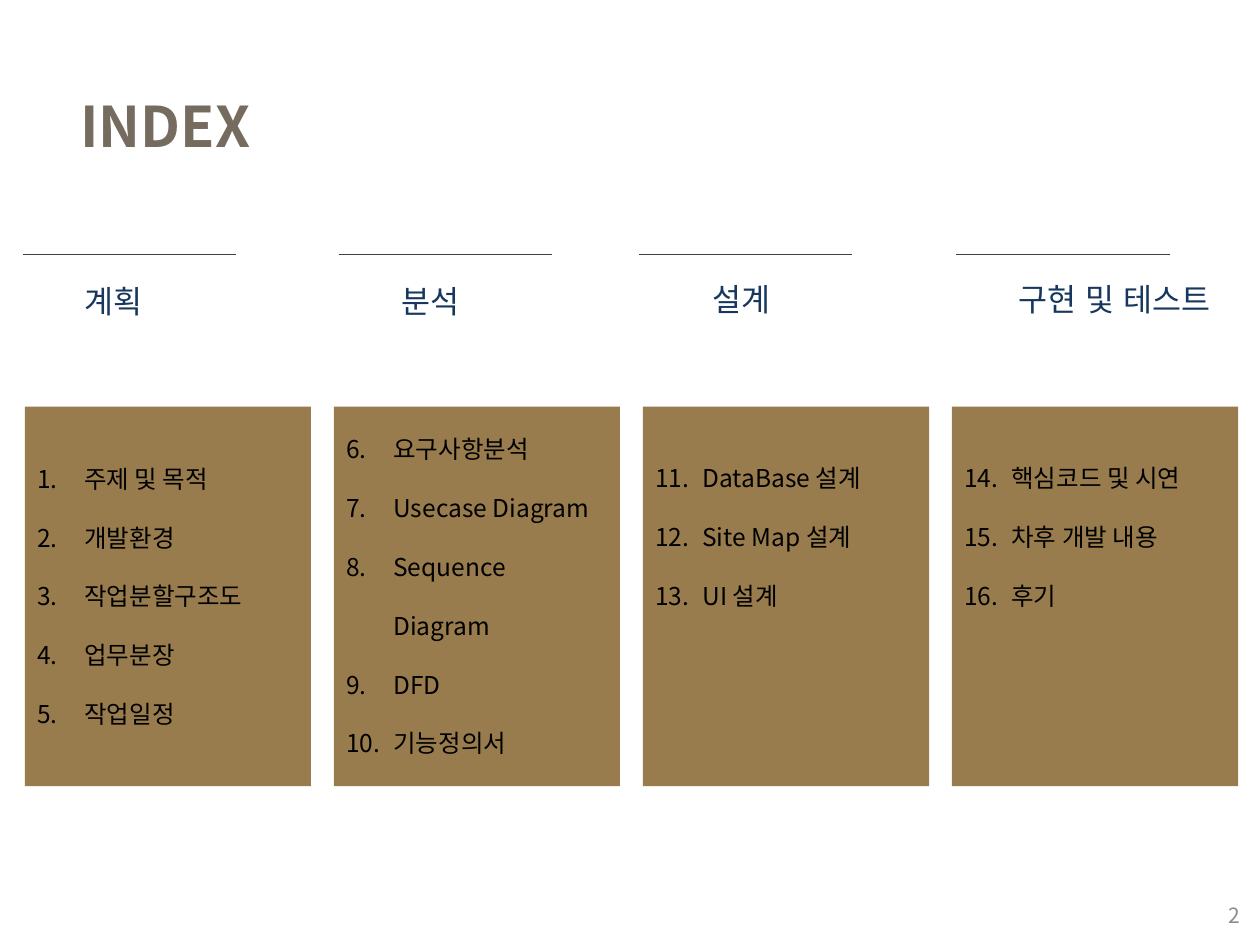
from lxml.etree import SubElement
from pptx import Presentation
from pptx.dml.color import RGBColor
from pptx.enum.shapes import MSO_CONNECTOR, MSO_SHAPE
from pptx.enum.text import MSO_ANCHOR, MSO_AUTO_SIZE, PP_ALIGN
from pptx.oxml.ns import qn
from pptx.util import Cm, Pt

SANS = "Noto Sans CJK KR"

# Heading, its left edge, width and top, left edge of its rule, list items
PARTS = [
    ("계획", 1.45, 1.8, 5.56, 0.46,
     ["주제 및 목적", "개발환경", "작업분할구조도", "업무분장", "작업일정"]),
    ("분석", 7.85, 2.03, 5.56, 6.83,
     ["요구사항분석", "Usecase Diagram", "Sequence Diagram", "DFD", "기능정의서"]),
    ("설계", 14.12, 1.8, 5.53, 12.88,
     ["DataBase 설계", "Site Map 설계", "UI 설계"]),
    ("구현 및 테스트", 20.29, 4.83, 5.53, 19.28,
     ["핵심코드 및 시연", "차후 개발 내용", "후기"]),
]


def tint(code):
    return RGBColor.from_string(code)


def style(para, size, color, face=SANS, bold=False):
    for run in para.runs:
        font = run.font
        font.size, font.bold, font.name = Pt(size), bold, face
        font.color.rgb = tint(color)
        SubElement(font._element, qn("a:ea"), typeface=face)


def add_text(slide, area, text, size, color, face=SANS, bold=False, wrap=True):
    frame = slide.shapes.add_textbox(*map(Cm, area)).text_frame
    frame.text = text
    frame.word_wrap = wrap
    for para in frame.paragraphs:
        style(para, size, color, face, bold)
    return frame


def add_panel(slide, left):
    panel = slide.shapes.add_shape(
        MSO_SHAPE.RECTANGLE, Cm(left), Cm(8.2), Cm(5.77), Cm(7.65))
    panel.shadow.inherit = False
    panel.fill.solid()
    panel.fill.fore_color.rgb = tint("987C4D")
    panel.line.fill.background()


def add_rule(slide, left):
    top = Cm(5.13)
    rule = slide.shapes.add_connector(
        MSO_CONNECTOR.STRAIGHT, Cm(left), top, Cm(left + 4.3), top)
    rule.line.color.rgb = tint("404040")
    rule.line.width = Pt(0.75)
    SubElement(rule._element.spPr, qn("a:effectLst"))


def add_list(slide, left, items, start):
    area = (left, 8.6, 5.77, 0.24 + 1.2 * len(items))
    frame = add_text(slide, area, "\n".join(items), 14, "000000")
    frame.vertical_anchor = MSO_ANCHOR.MIDDLE
    frame.auto_size = MSO_AUTO_SIZE.SHAPE_TO_FIT_TEXT
    for para in frame.paragraphs:
        props = para._p.get_or_add_pPr()
        props.set("marL", str(Cm(0.95)))
        props.set("indent", str(-Cm(0.95)))
        SubElement(props, qn("a:buFont"), typeface="+mj-lt")
        SubElement(props, qn("a:buAutoNum"),
                   type="arabicPeriod", startAt=str(start))
        para.alignment = PP_ALIGN.JUSTIFY
        para.line_spacing = 2.0


def main():
    deck = Presentation()
    deck.slide_width, deck.slide_height = Cm(25.4), Cm(19.05)
    slide = deck.slides.add_slide(deck.slide_layouts[6])

    # Title and page number
    add_text(slide, (1.37, 1.73, 7.04, 2.16), "INDEX", 32, "756B5F", bold=True)
    page = add_text(slide, (19.33, 17.93, 5.92, 1.02), "2", 12, "8C8C8C")
    page.vertical_anchor = MSO_ANCHOR.MIDDLE
    page.paragraphs[0].alignment = PP_ALIGN.RIGHT

    # Four columns, numbered straight through
    start = 1
    for col, (head, left, width, top, rule, items) in enumerate(PARTS):
        edge = 0.5 + 6.23 * col
        add_panel(slide, edge)
        add_list(slide, edge, items, start)
        add_rule(slide, rule)
        title = add_text(slide, (left, top, width, 1.02), head, 18,
                         "17375E", "Arial", wrap=False)
        title.auto_size = MSO_AUTO_SIZE.SHAPE_TO_FIT_TEXT
        start += len(items)

    deck.save("out.pptx")


if __name__ == "__main__":
    main()
